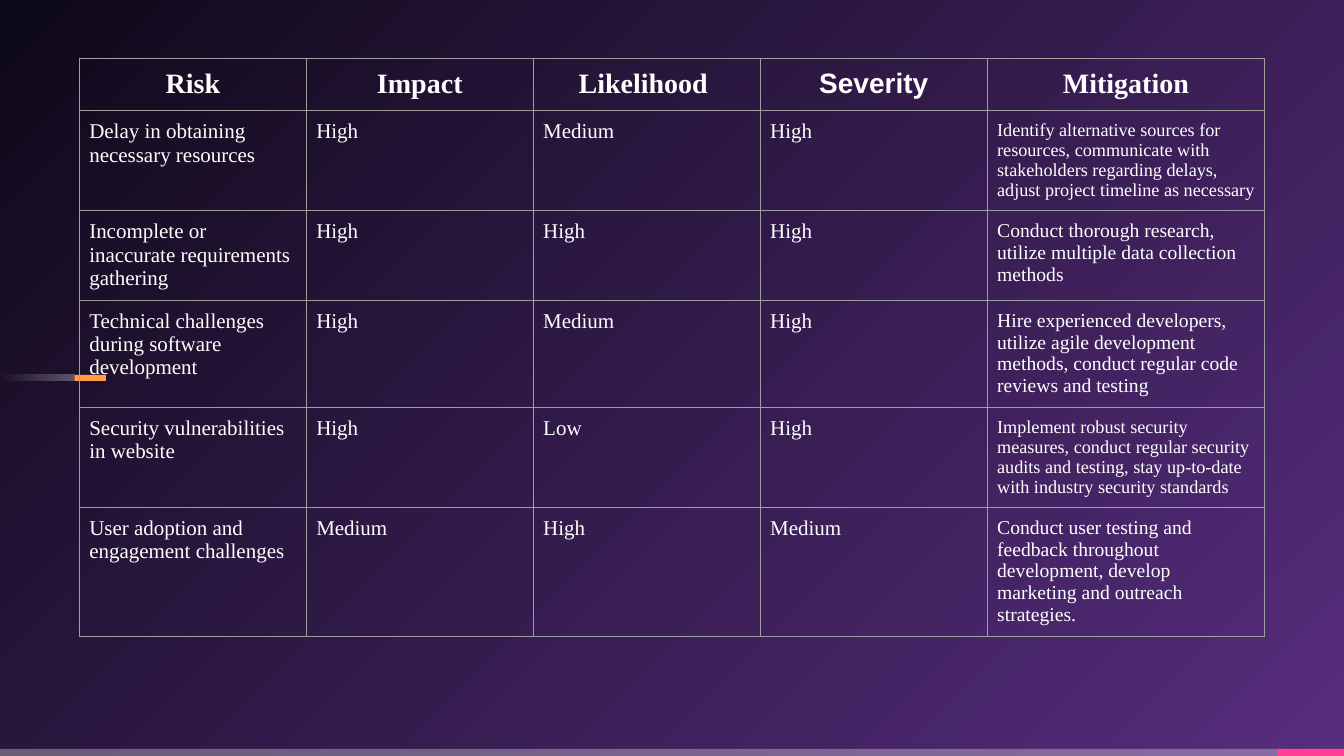
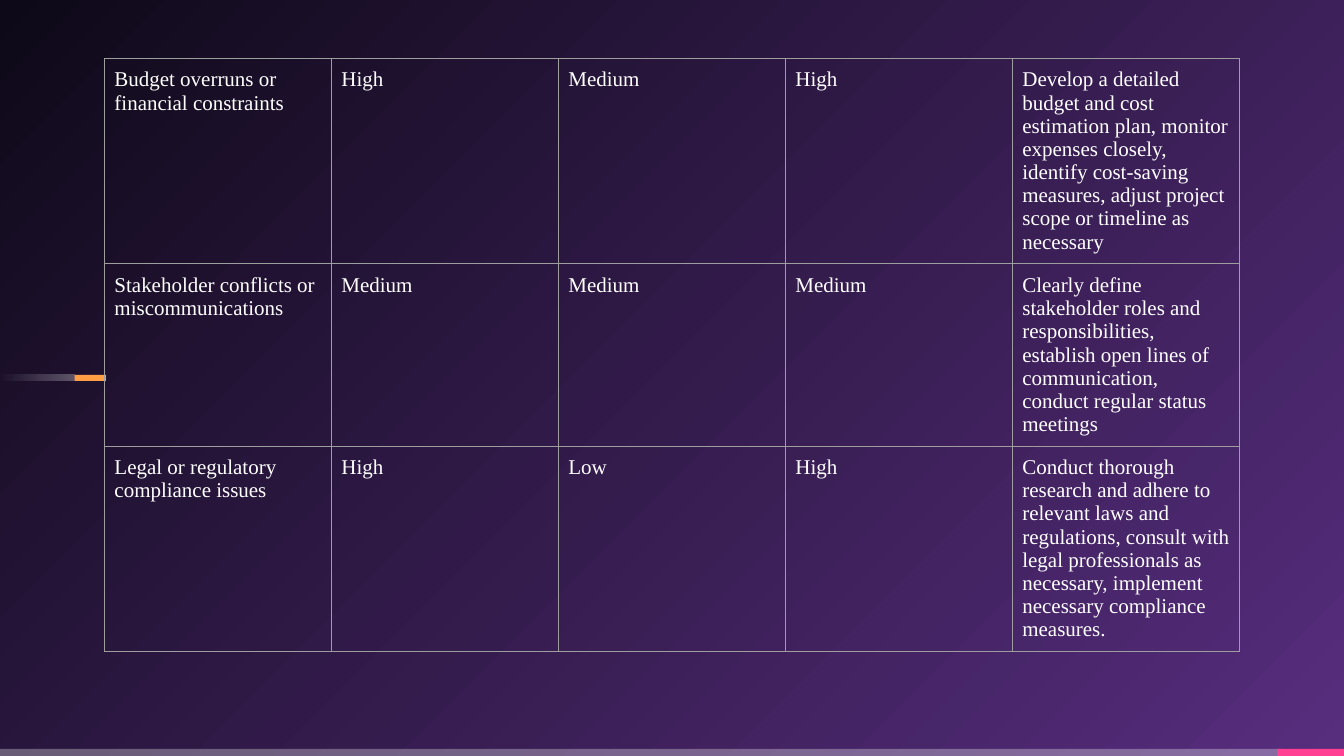
from lxml import etree
from pptx import Presentation
from pptx import util as u
from pptx.dml.color import RGBColor
from pptx.enum import shapes, text
from pptx.oxml.ns import qn

COLORS = {
    "text": "FFFFFF",
    "band": "FFFFFF",
    "pink": "FF4093",
    "orange": "FF9E44",
    "border": "9E9E9E",
    "glow": "572D7E",
    "night": "0E0918",
}
SERIF, SANS = "Times New Roman", "Arial"
SLIDE_W, SLIDE_H = 33.87, 19.05
COLUMN_W, WIDE_COLUMN_W = 5.72, 6.99
TABLE_TOP = 1.47
INSET = 0.25

HEADINGS = [("Risk", SERIF), ("Impact", SERIF), ("Likelihood ", SERIF),
            ("Severity", SANS), ("Mitigation", SERIF)]

# Risk, impact, likelihood, severity, mitigation, mitigation size, row height
PROJECT_RISKS = [
    ("Delay in obtaining necessary resources", "High", "Medium", "High",
     "Identify alternative sources for resources, communicate with stakeholders "
     "regarding delays, adjust project timeline as necessary", 13, 2.52),
    ("Incomplete or inaccurate requirements gathering", "High", "High", "High",
     "Conduct thorough research, utilize multiple data collection methods", 14, 2.26),
    ("Technical challenges during software development", "High", "Medium", "High",
     "Hire experienced developers, utilize agile development methods, "
     "conduct regular code reviews and testing", 14, 2.7),
    ("Security vulnerabilities in website", "High", "Low", "High",
     "Implement robust security measures, conduct regular security audits and "
     "testing, stay up-to-date with industry security standards", 13, 2.52),
    ("User adoption and engagement challenges", "Medium", "High", "Medium",
     "Conduct user testing and feedback throughout development, develop "
     "marketing and outreach strategies.", 14, 3.25),
]
BUSINESS_RISKS = [
    ("Budget overruns or financial constraints", "High", "Medium", "High",
     "Develop a detailed budget and cost estimation plan, monitor expenses closely, "
     "identify cost-saving measures, adjust project scope or timeline as necessary",
     15, 5.18),
    ("Stakeholder conflicts or miscommunications", "Medium", "Medium", "Medium",
     "Clearly define stakeholder roles and responsibilities, establish open lines of "
     "communication, conduct regular status meetings", 15, 4.59),
    ("Legal or regulatory compliance issues", "High", "Low", "High",
     "Conduct thorough research and adhere to relevant laws and regulations, consult "
     "with legal professionals as necessary, implement necessary compliance measures.",
     15, 5.18),
]


def rgb(name):
    return RGBColor.from_string(COLORS[name])


def set_alphas(element, *percents):
    """Give each colour inside the element its opacity, in order."""
    for color, percent in zip(element.iter(qn("a:srgbClr")), percents):
        etree.SubElement(color, qn("a:alpha"), val=str(percent * 1000))


def set_gradient(fill, *names):
    fill.gradient()
    for stop, name, position in zip(fill.gradient_stops, names, (0, 1)):
        stop.color.rgb = rgb(name)
        stop.position = position


def paint_background(slide):
    """Radial glow centred on the bottom right corner."""
    set_gradient(slide.background.fill, "glow", "night")
    gradient = slide.element.find(".//" + qn("a:gradFill"))
    linear = gradient.find(qn("a:lin"))
    radial = etree.Element(qn("a:path"), path="circle")
    etree.SubElement(radial, qn("a:fillToRect"), l="100000", t="100000")
    gradient.replace(linear, radial)


def add_bar(slide, left, top, width, height, color):
    bar = slide.shapes.add_shape(shapes.MSO_SHAPE.RECTANGLE, u.Cm(left), u.Cm(top),
                                 u.Cm(width), u.Cm(height))
    bar.shadow.inherit = False
    bar.line.fill.background()
    bar.fill.solid()
    bar.fill.fore_color.rgb = rgb(color)
    return bar


def add_footer_band(slide, top, height):
    pale = add_bar(slide, 0, top, 32.28, height, "band")
    set_alphas(pale.element, 30)
    add_bar(slide, 32.19, top, SLIDE_W - 32.19, height, "pink")


def add_side_marker(slide, top, height):
    fade = add_bar(slide, 0, top, 1.88, height, "band")
    set_gradient(fade.fill, "band", "band")
    fade.fill.gradient_angle = 180
    set_alphas(fade.element, 30, 0)
    add_bar(slide, 1.88, top, 0.79, height, "orange")


def write(cell, words, size=15, font=SERIF, bold=False, align=text.PP_ALIGN.LEFT):
    paragraph = cell.text_frame.paragraphs[0]
    paragraph.alignment = align
    run = paragraph.add_run()
    run.text = words
    run.font.size = u.Pt(size)
    run.font.name = font
    run.font.bold = bold
    run.font.color.rgb = rgb("text")


def style_cell(cell):
    """Clear cell with even insets and a thin border on all sides."""
    cell.margin_left = cell.margin_right = u.Cm(INSET)
    cell.margin_top = cell.margin_bottom = u.Cm(INSET)
    cell.fill.background()
    properties = cell.fill._xPr
    for index, side in enumerate(("lnL", "lnR", "lnT", "lnB")):
        border = etree.Element(qn("a:" + side), w=str(u.Pt(0.75)))
        solid = etree.SubElement(border, qn("a:solidFill"))
        etree.SubElement(solid, qn("a:srgbClr"), val=COLORS["border"])
        properties.insert(index, border)


def add_risk_table(slide, top, risks, last_width, headings=()):
    """Table centred across the slide, with a heading row if headings are given."""
    widths = [COLUMN_W] * 4 + [last_width]
    heights = [1.31] * bool(headings) + [risk[-1] for risk in risks]
    left = (SLIDE_W - sum(widths)) / 2
    table = slide.shapes.add_table(len(heights), len(widths), u.Cm(left), u.Cm(top),
                                   u.Cm(sum(widths)), u.Cm(sum(heights))).table
    table.first_row = table.horz_banding = False
    for column, width in zip(table.columns, widths):
        column.width = u.Cm(width)
    for row, height in zip(table.rows, heights):
        row.height = u.Cm(height)
    for cell in table.iter_cells():
        style_cell(cell)

    for column, (heading, font) in enumerate(headings):
        write(table.cell(0, column), heading, size=20, font=font, bold=True,
              align=text.PP_ALIGN.CENTER)
    for row, risk in enumerate(risks, start=len(heights) - len(risks)):
        *ratings, mitigation, mitigation_size, _ = risk
        for column, words in enumerate(ratings):
            write(table.cell(row, column), words)
        write(table.cell(row, 4), mitigation, size=mitigation_size)


def add_risk_slide(deck, risks, last_width, headings=()):
    slide = deck.slides.add_slide(deck.slide_layouts[6])
    paint_background(slide)
    add_footer_band(slide, SLIDE_H - 0.18, 0.18)
    add_side_marker(slide, 9.45, 0.15)
    add_risk_table(slide, TABLE_TOP, risks, last_width, headings)


def main():
    deck = Presentation()
    deck.slide_width, deck.slide_height = u.Cm(SLIDE_W), u.Cm(SLIDE_H)
    add_risk_slide(deck, PROJECT_RISKS, WIDE_COLUMN_W, HEADINGS)
    add_risk_slide(deck, BUSINESS_RISKS, COLUMN_W)
    deck.save("out.pptx")


if __name__ == "__main__":
    main()
